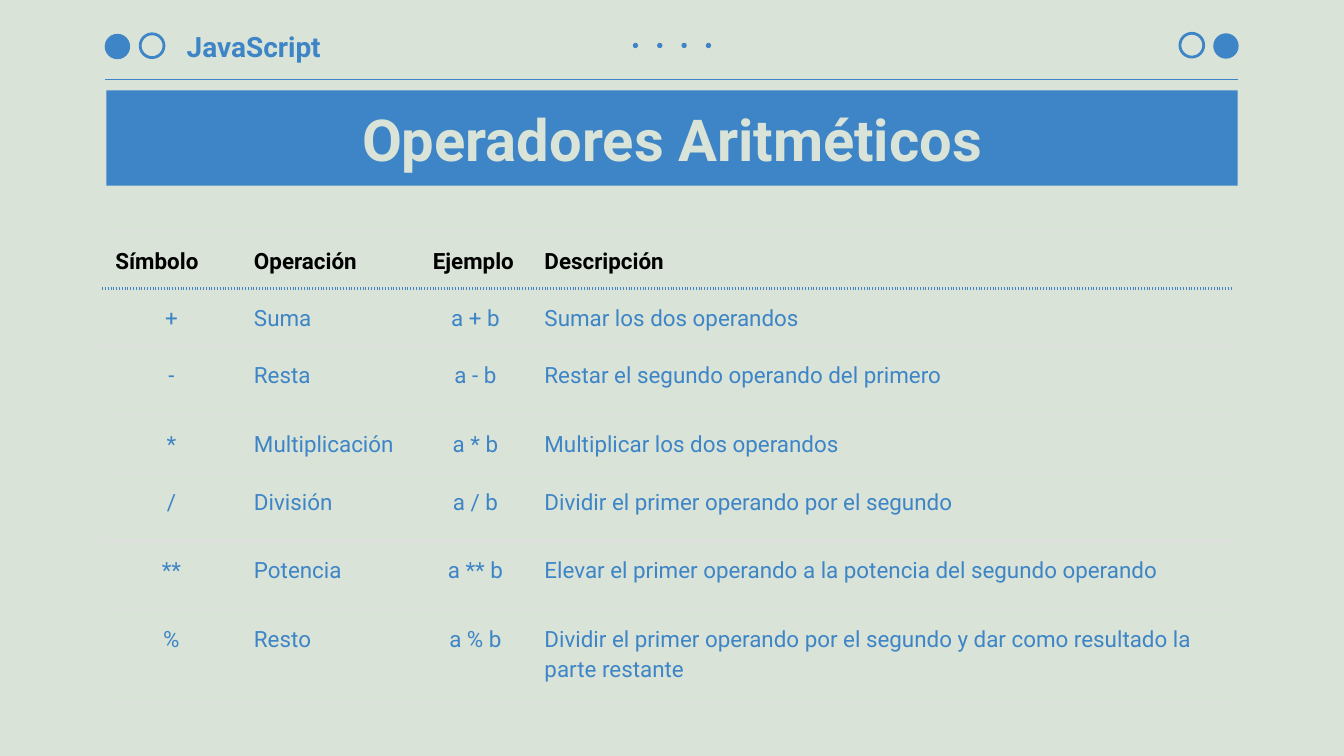
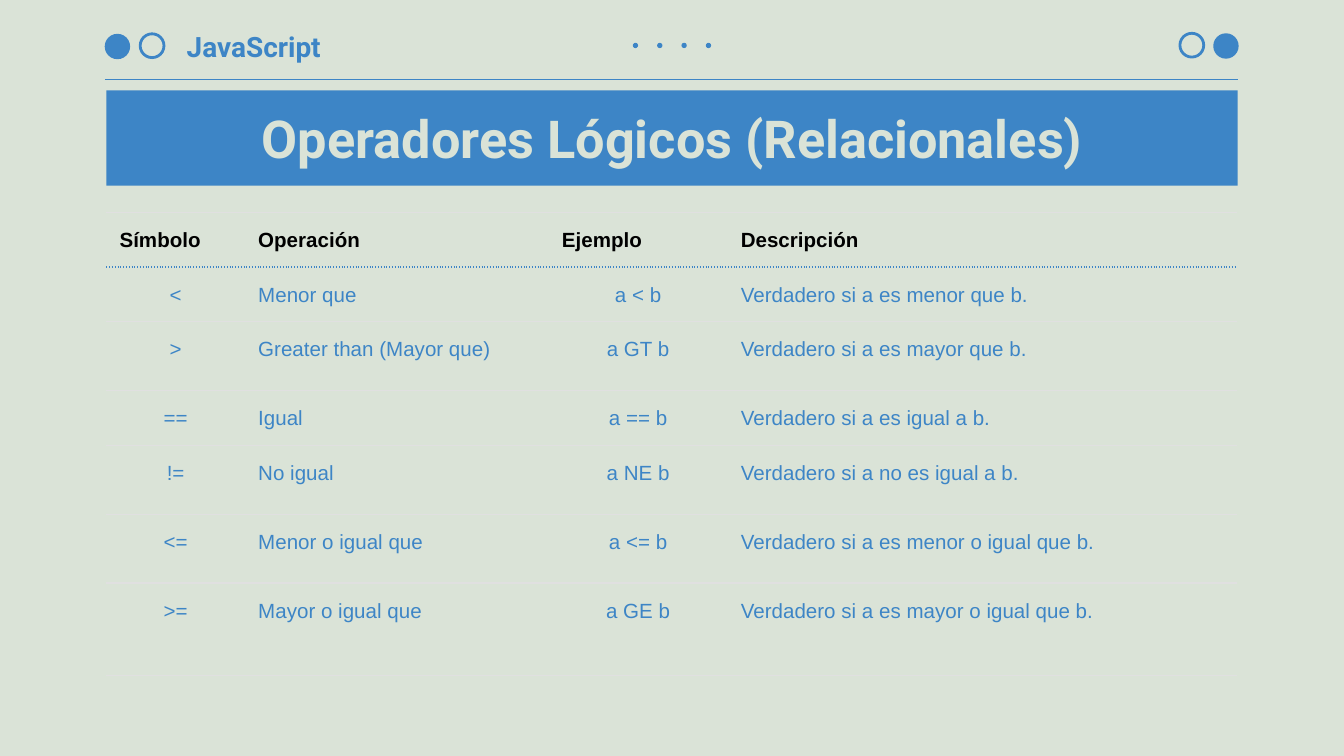
"""Build two slides that list the JavaScript operators."""
from dataclasses import dataclass

from lxml import etree
from pptx import Presentation
from pptx.dml.color import RGBColor
from pptx.enum.shapes import MSO_CONNECTOR, MSO_SHAPE
from pptx.enum.text import MSO_ANCHOR, PP_ALIGN
from pptx.oxml.ns import qn
from pptx.shapes.autoshape import Shape
from pptx.slide import Slide
from pptx.table import _Cell
from pptx.text.text import TextFrame
from pptx.util import Cm, Pt

OVAL = MSO_SHAPE.OVAL
RECT = MSO_SHAPE.RECTANGLE
STRAIGHT = MSO_CONNECTOR.STRAIGHT
MIDDLE = MSO_ANCHOR.MIDDLE
LEFT = PP_ALIGN.LEFT
CENTER = PP_ALIGN.CENTER

COLORS = {"back": "DAE3D7", "blue": "3D85C6", "rule": "E0E0E0", "black": "000000"}
FONT = "Roboto"
PAD = 0.25
HEADS = ("Símbolo", "Operación", "Ejemplo", "Descripción")
ALIGNS = (CENTER, LEFT, CENTER, LEFT)
HEIGHTS = (0.86, 0.86, 1.3, 0.86, 1.3, 1.3, 1.75)


@dataclass(frozen=True)
class Disc:
    """A round mark, solid or ring."""
    left: float
    top: float
    size: float
    solid: bool = True


@dataclass(frozen=True)
class Page:
    """The title and table of one slide."""
    title: str
    size: int
    left: float
    top: float
    widths: tuple[float, ...]
    font: str
    points: int
    solid: bool
    rows: tuple[tuple[str, ...], ...]


DISCS = (
    Disc(1.98, 0.64, 0.48),
    Disc(2.65, 0.64, 0.45, False),
    Disc(22.3, 0.63, 0.45, False),
    Disc(22.93, 0.63, 0.48),
    *(Disc(11.96 + 0.46 * i, 0.81, 0.1) for i in range(4)),
)

PAGES = (
    Page("Operadores Aritméticos", 31, 1.93, 4.37, (2.62, 3.38, 2.11, 13.26),
         FONT, 12, True, (
             ("+", "Suma", "a + b", "Sumar los dos operandos"),
             ("-", "Resta", "a - b", "Restar el segundo operando del primero"),
             ("*", "Multiplicación", "a * b", "Multiplicar los dos operandos"),
             ("/", "División", "a / b", "Dividir el primer operando por el segundo"),
             ("**", "Potencia", "a ** b",
              "Elevar el primer operando a la potencia del segundo operando"),
             ("%", "Resto", "a % b",
              "Dividir el primer operando por el segundo y dar como resultado "
              "la parte restante"),
         )),
    Page("Operadores Lógicos (Relacionales)", 28, 2.01, 4.01, (2.62, 5.74, 3.38, 9.63),
         "Arial", 11, False, (
             ("<", "Menor que", "a < b", "Verdadero si a es menor que b."),
             (">", "Greater than (Mayor que)", "a GT b",
              "Verdadero si a es mayor que b."),
             ("==", "Igual", "a == b", "Verdadero si a es igual a b."),
             ("!=", "No igual", "a NE b", "Verdadero si a no es igual a b."),
             ("<=", "Menor o igual que", "a <= b",
              "Verdadero si a es menor o igual que b."),
             (">=", "Mayor o igual que", "a GE b",
              "Verdadero si a es mayor o igual que b."),
         )),
)


def rgb(name: str) -> RGBColor:
    """Look up a colour by name."""
    return RGBColor.from_string(COLORS[name])


def write(frame: TextFrame, text: str, font: str, size: int, color: str,
          bold: bool = True, align: PP_ALIGN = LEFT) -> None:
    """Put one line of styled text in a frame."""
    frame.text = text
    para = frame.paragraphs[0]
    para.alignment = align
    face = para.runs[0].font
    face.name, face.size, face.bold = font, Pt(size), bold
    face.color.rgb = rgb(color)


def add_form(slide: Slide, kind: MSO_SHAPE, left: float, top: float,
             width: float, height: float, solid: bool = True) -> Shape:
    """Add a blue shape, solid or in outline."""
    form = slide.shapes.add_shape(kind, Cm(left), Cm(top), Cm(width), Cm(height))
    form.shadow.inherit = False
    if solid:
        form.fill.solid()
        form.fill.fore_color.rgb = rgb("blue")
        form.line.fill.background()
    else:
        form.fill.background()
        form.line.color.rgb = rgb("blue")
        form.line.width = Pt(1.5)
    return form


def add_top(slide: Slide) -> None:
    """Draw the header that all slides share."""
    slide.background.fill.solid()
    slide.background.fill.fore_color.rgb = rgb("back")
    rule = slide.shapes.add_connector(STRAIGHT, Cm(1.98), Cm(1.5), Cm(23.39), Cm(1.5))
    rule.line.color.rgb = rgb("blue")
    rule.line.width = Pt(0.75)
    etree.SubElement(rule._element.spPr, qn("a:effectLst"))
    for disc in DISCS:
        add_form(slide, OVAL, disc.left, disc.top, disc.size, disc.size, disc.solid)
    frame = slide.shapes.add_textbox(Cm(3.28), Cm(0.41), Cm(3.18), Cm(0.94)).text_frame
    frame.word_wrap = True
    frame.vertical_anchor = MIDDLE
    frame.margin_left = frame.margin_right = Cm(PAD)
    frame.margin_top = frame.margin_bottom = Cm(PAD)
    write(frame, "JavaScript", FONT, 15, "blue")


def add_title(slide: Slide, page: Page) -> None:
    """Draw the title band."""
    frame = add_form(slide, RECT, 2.01, 1.71, 21.38, 1.8).text_frame
    frame.word_wrap = True
    frame.vertical_anchor = MIDDLE
    frame.margin_left = frame.margin_right = Cm(0.76)
    frame.margin_top = frame.margin_bottom = Cm(0.51)
    write(frame, page.title, FONT, page.size, "back", align=CENTER)


def set_edges(cell: _Cell, row: int) -> None:
    """Rule a cell above and below, with dots under the heads."""
    props = cell._tc.get_or_add_tcPr()
    for i, side in enumerate("LRTB"):
        edge = etree.Element(qn(f"a:ln{side}"))
        props.insert(i, edge)
        if side in "LR":
            etree.SubElement(edge, qn("a:noFill"))
            continue
        dots = (row, side) in ((0, "B"), (1, "T"))
        edge.set("w", str(Pt(1.5 if dots else 0.75)))
        fill = etree.SubElement(edge, qn("a:solidFill"))
        tint = COLORS["blue" if dots else "rule"]
        etree.SubElement(fill, qn("a:srgbClr"), val=tint)
        etree.SubElement(edge, qn("a:prstDash"), val="dot" if dots else "solid")


def add_grid(slide: Slide, page: Page) -> None:
    """Draw the table of operators."""
    lines = (HEADS, *page.rows)
    table = slide.shapes.add_table(
        len(lines), len(HEADS), Cm(page.left), Cm(page.top),
        Cm(sum(page.widths)), Cm(sum(HEIGHTS))).table
    table.first_row = table.horz_banding = False
    for col, width in zip(table.columns, page.widths):
        col.width = Cm(width)
    for r, line in enumerate(lines):
        table.rows[r].height = Cm(HEIGHTS[r])
        head = r == 0
        for c, text in enumerate(line):
            cell = table.cell(r, c)
            cell.margin_left = cell.margin_right = Cm(PAD)
            cell.margin_top = cell.margin_bottom = Cm(PAD)
            write(cell.text_frame, text, page.font, page.points,
                  "black" if head else "blue", head, LEFT if head else ALIGNS[c])
            cell.text_frame.paragraphs[0].line_spacing = 1.15
            if page.solid:
                cell.fill.solid()
                cell.fill.fore_color.rgb = rgb("back")
            else:
                cell.fill.background()
            set_edges(cell, r)


def main() -> None:
    """Build and save the slides."""
    deck = Presentation()
    deck.slide_width, deck.slide_height = Cm(25.4), Cm(14.29)
    for page in PAGES:
        slide = deck.slides.add_slide(deck.slide_layouts[6])
        add_top(slide)
        add_title(slide, page)
        add_grid(slide, page)
    deck.save("out.pptx")


if __name__ == "__main__":
    main()
